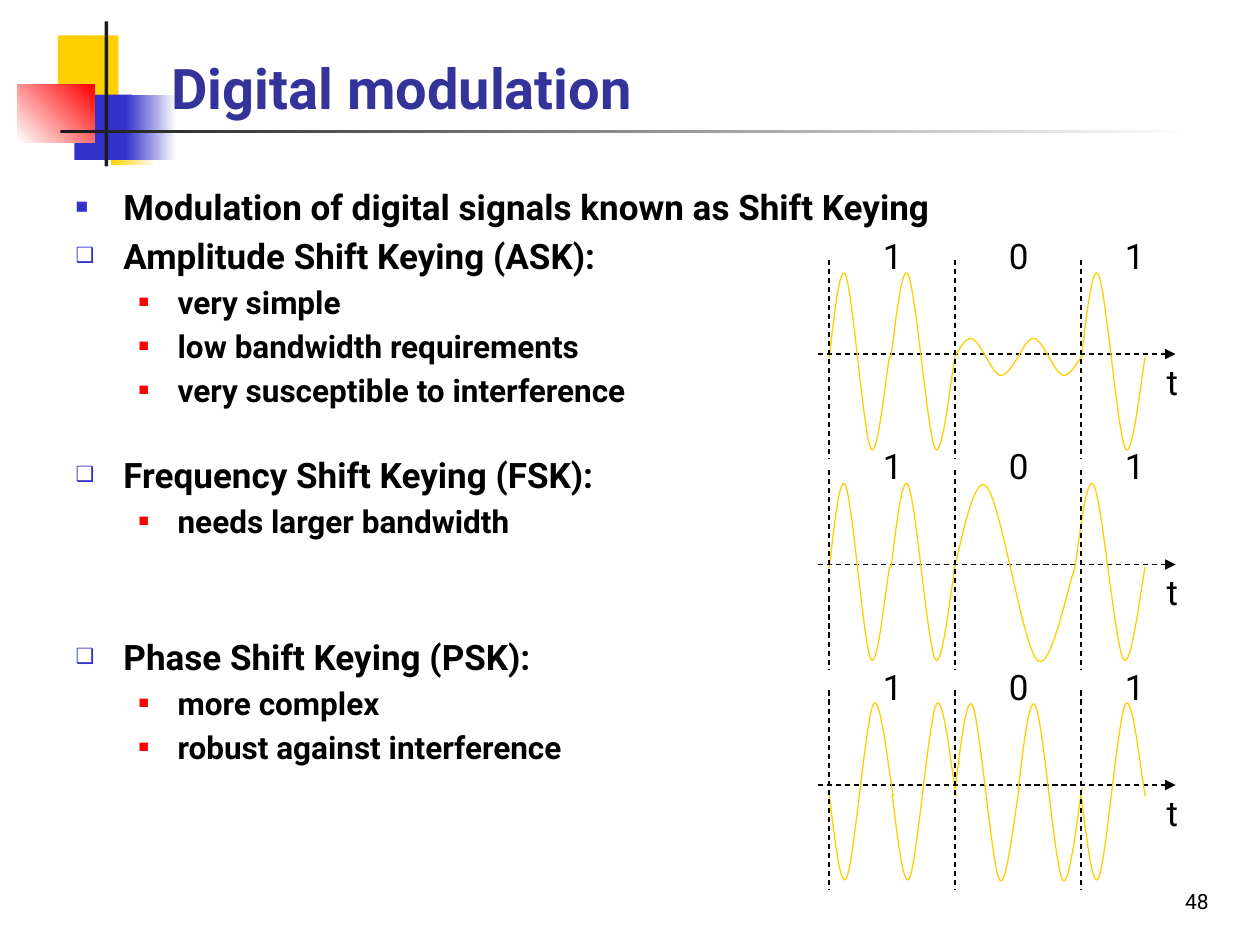
from lxml.etree import SubElement
from pptx import Presentation
from pptx.dml.color import RGBColor
from pptx.enum.dml import MSO_LINE
from pptx.enum.shapes import MSO_CONNECTOR, MSO_SHAPE
from pptx.enum.text import MSO_ANCHOR, MSO_AUTO_SIZE, PP_ALIGN
from pptx.oxml.ns import qn
from pptx.util import Inches, Pt

# Content
TITLE = "Digital modulation"
FONT = "Roboto"
BLACK, GOLD, BLUE, RED, DARK, WHITE = (
    "000000", "FFCF01", "3333CC", "FF0000", "1C1C1C", "FFFFFF")

# Level, bullet, text, space before in points
ITEMS = [
    (0, "■", "Modulation of digital signals known as Shift Keying", 0),
    (0, "❑", "Amplitude Shift Keying (ASK):", 4),
    (1, "■", "very simple", 3.6),
    (1, "■", "low bandwidth requirements", 3.6),
    (1, "■", "very susceptible to interference", 3.6),
    (0, "❑", "Frequency Shift Keying (FSK):", 25.5),
    (1, "■", "needs larger bandwidth", 3.6),
    (0, "❑", "Phase Shift Keying (PSK):", 55),
    (1, "■", "more complex", 3.6),
    (1, "■", "robust against interference", 3.6),
]
# Size, indent, hanging, bullet colour, bullet percent
LEVELS = [(20, 0.38, 0.38, BLUE, 60), (18, 0.81, 0.31, RED, 55)]

# Left, top, width, height, colours, angle
DECOR = [
    (0.46, 0.28, 0.48, 0.52, [GOLD], 0),
    (0.88, 0.79, 0.36, 0.52, [GOLD, WHITE], 0),
    (0.59, 0.75, 0.46, 0.52, [BLUE], 0),
    (1, 0.75, 0.4, 0.52, [BLUE, WHITE], 0),
    (0.14, 0.67, 0.61, 0.46, [WHITE, RED], 45),
    (0.83, 0.17, 0.03, 1.15, [DARK], 0),
    (0.48, 1.03, 9, 0.03, [DARK, WHITE], 0),
]

# One wave period as Bezier nodes: x as a share of its width,
# y from the axis in inches
WAVE = [(0, 0.03), (0.04, -0.08), (0.16, -0.75), (0.27, -0.63),
        (0.39, -0.51), (0.57, 0.64), (0.69, 0.75),
        (0.8, 0.86), (0.94, 0.17), (1, 0.02)]
# Axis height, then waves as left, width, amplitude, offset
PLOTS = [
    (2.81, [(6.58, 0.48, 1, 0), (7.07, 0.51, 1, 0), (7.58, 0.51, 0.21, 0.01),
            (8.08, 0.51, 0.21, 0.01), (8.58, 0.51, 1, 0)]),
    (4.48, [(6.58, 0.48, 1, 0), (7.07, 0.51, 1, 0), (7.57, 0.96, 1, 0.01),
            (8.53, 0.56, 1, 0)]),
    (6.23, [(6.58, 0.51, -1, 0.11), (7.08, 0.51, -1, 0.11), (7.58, 0.51, 1, 0),
            (8.08, 0.51, 1, 0), (8.58, 0.51, -1, 0.11)]),
]
BITS = [(6.91, "1"), (7.91, "0"), (8.83, "1")]
EDGES = [6.58, 7.58, 8.58]


def paint(part, hue):
    part.rgb = RGBColor.from_string(hue)


def place(shape, *box):
    shape.left, shape.top, shape.width, shape.height = map(Inches, box)


def write(par, text, size, hue=BLACK, bold=False):
    run = par.add_run()
    run.text = text
    run.font.name, run.font.size, run.font.bold = FONT, Pt(size), bold
    paint(run.font.color, hue)


def label(text, box, size=20):
    shape = slide.shapes.add_textbox(*map(Inches, box))
    frame = shape.text_frame
    frame.word_wrap = False
    frame.auto_size = MSO_AUTO_SIZE.SHAPE_TO_FIT_TEXT
    write(frame.paragraphs[0], text, size)
    return frame


def rule(x1, y1, x2, y2, arrow=False):
    line = slide.shapes.add_connector(
        MSO_CONNECTOR.STRAIGHT, *map(Inches, (x1, y1, x2, y2)))
    line.line.width = Pt(0.75)
    line.line.dash_style = MSO_LINE.DASH
    paint(line.line.color, BLACK)
    if arrow:
        SubElement(line.line._get_or_add_ln(), qn("a:tailEnd"), type="triangle")
    SubElement(line._element.spPr, qn("a:effectLst"))


def bend(shape):
    """Turn each three straight segments into one cubic Bezier curve."""
    path = next(shape._element.iter(qn("a:path")))
    legs = path.findall(qn("a:lnTo"))
    for i in range(0, len(legs), 3):
        arc = SubElement(path, qn("a:cubicBezTo"))
        for leg in legs[i:i + 3]:
            arc.append(leg[0])
            path.remove(leg)


def wave(axis, left, width, amp, off):
    nodes = [(Inches(left + x * width), Inches(axis + off + amp * y))
             for x, y in WAVE]
    pen = slide.shapes.build_freeform(*nodes[0])
    pen.add_line_segments(nodes[1:], close=False)
    shape = pen.convert_to_shape()
    bend(shape)
    shape.shadow.inherit = False
    shape.fill.background()
    shape.line.width = Pt(0.75)
    paint(shape.line.color, GOLD)


deck = Presentation()
deck.slide_width, deck.slide_height = Inches(10), Inches(7.5)
slide = deck.slides.add_slide(deck.slide_layouts[1])
title, body = slide.placeholders[0], slide.placeholders[1]

# Corner ornament, kept behind the title
for *box, hues, angle in DECOR:
    shape = slide.shapes.add_shape(MSO_SHAPE.RECTANGLE, *map(Inches, box))
    shape.shadow.inherit = False
    shape.line.fill.background()
    if len(hues) == 1:
        shape.fill.solid()
        paint(shape.fill.fore_color, hues[0])
    else:
        shape.fill.gradient()
        shape.fill.gradient_angle = angle
        for stop, hue, spot in zip(shape.fill.gradient_stops, hues, (0, 1)):
            stop.position = spot
            paint(stop.color, hue)

# Title and list
for holder in (title, body):
    slide.shapes._spTree.append(holder._element)
place(title, 1.26, 0.18, 8.52, 0.83)
title.text_frame.vertical_anchor = MSO_ANCHOR.BOTTOM
title.text_frame.auto_size = MSO_AUTO_SIZE.NONE
head = title.text_frame.paragraphs[0]
head.alignment = PP_ALIGN.LEFT
write(head, TITLE, 32, "333399", True)

place(body, 0.5, 1.42, 9.08, 5.67)
frame = body.text_frame
frame.auto_size = MSO_AUTO_SIZE.NONE
for i, (level, mark, text, gap) in enumerate(ITEMS):
    size, left, hang, hue, share = LEVELS[level]
    par = frame.add_paragraph() if i else frame.paragraphs[0]
    par.level = level
    props = par._p.get_or_add_pPr()
    props.set("marL", str(Inches(left)))
    props.set("indent", str(-Inches(hang)))
    tint = SubElement(props, qn("a:buClr"))
    SubElement(tint, qn("a:srgbClr"), val=hue)
    SubElement(props, qn("a:buSzPct"), val=str(share * 1000))
    SubElement(props, qn("a:buChar"), char=mark)
    par.space_before = Pt(gap)
    write(par, text, size, bold=True)

# Signal plots
for axis, waves in PLOTS:
    rule(6.49, axis, 9.33, axis, arrow=True)
    for item in waves:
        wave(axis, *item)
    for x in EDGES:
        rule(x, axis - 0.75, x, axis + 0.83)
    for x, bit in BITS:
        label(bit, (x, axis - 1, 0.36, 0.44))
    label("t", (9.16, axis, 0.28, 0.44))

# Slide number
foot = label("48", (9, 7, 1, 0.5), 12)
foot.word_wrap = True
foot.auto_size = MSO_AUTO_SIZE.NONE
foot.paragraphs[0].alignment = PP_ALIGN.CENTER

deck.save("out.pptx")
